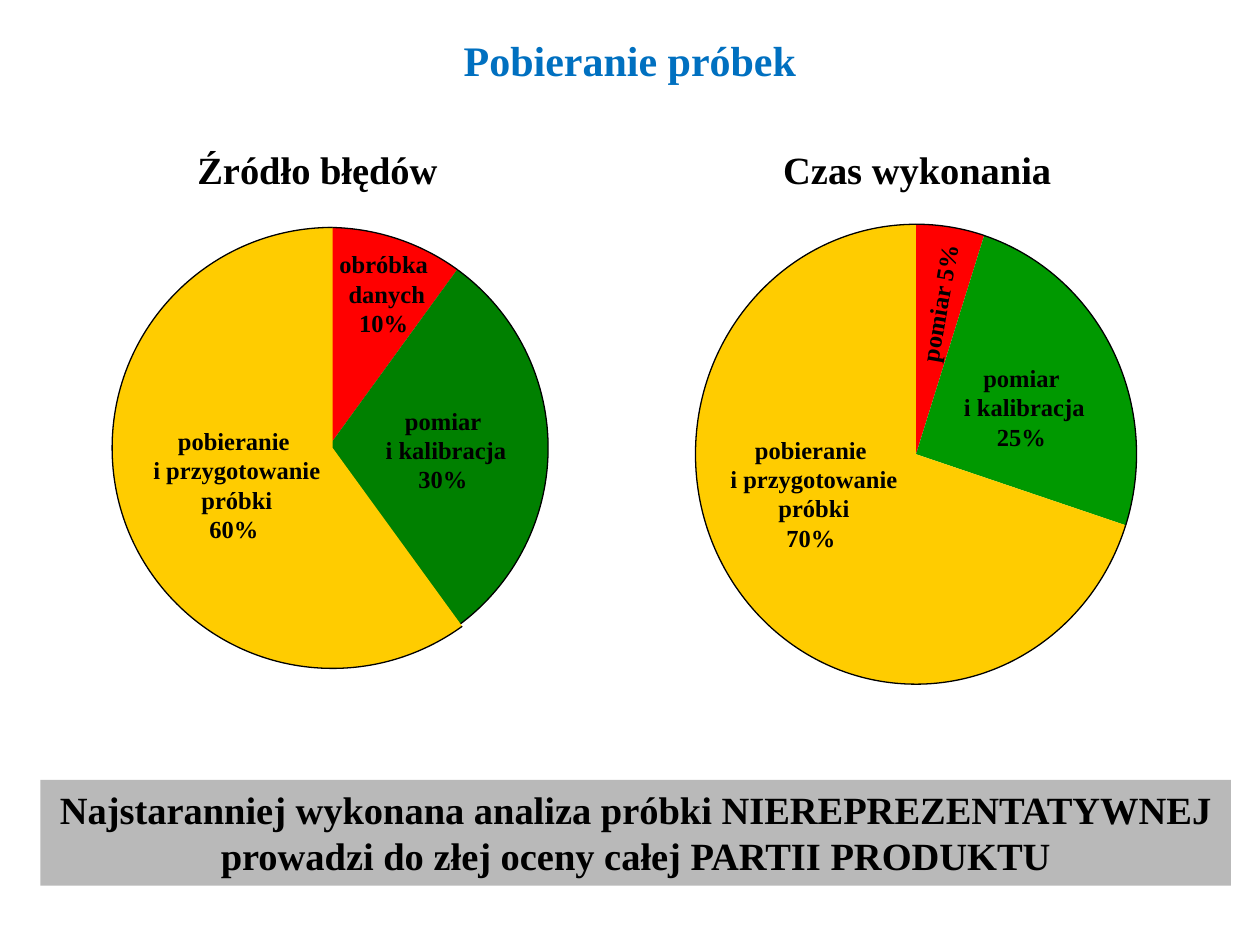
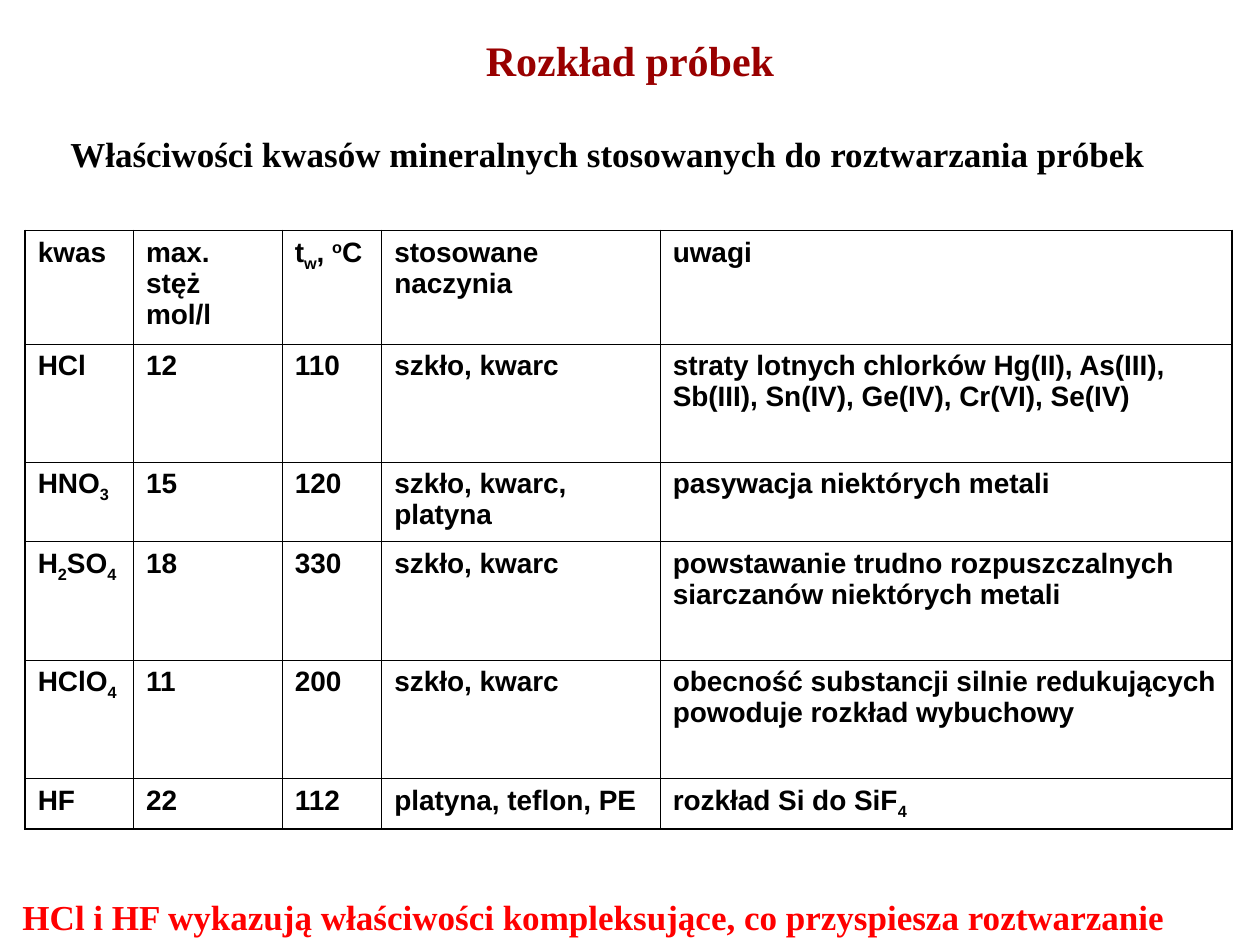
from collections import namedtuple
from copy import deepcopy
from math import cos, radians, sin, tan

from lxml.etree import SubElement
from pptx import Presentation
from pptx.dml.color import RGBColor
from pptx.enum.shapes import MSO_SHAPE
from pptx.enum.text import MSO_ANCHOR, PP_ALIGN
from pptx.oxml.ns import qn
from pptx.util import Inches, Pt

COLORS = {
    "black": "000000", "blue": "0070C0", "maroon": "990000", "red": "FF0000",
    "green": "008000", "light green": "009900", "yellow": "FFCC00", "gray": "7F7F7F",
}
SERIF, SANS = "Times New Roman", "Arial"
TITLE_ONLY = 5

# Grid of 100 columns and 75 rows; boxes are given in these units
WIDTH, HEIGHT = Inches(10), Inches(7.5)
COL, ROW = WIDTH / 100, HEIGHT / 75
Box = namedtuple("Box", "left top width height")
Slice = namedtuple("Slice", "percent color shift label label_at label_height turn")

TITLE_BOX = Box(7.5, 1, 85, 7.4)
LABEL_WIDTH = 19.2
BASELINES = {"_": "-25000", "^": "30000"}


def rgb(name):
    return RGBColor.from_string(COLORS[name])


def emu(box):
    return [int(n * unit) for n, unit in zip(box, (COL, ROW, COL, ROW))]


def style_font(font, size, color="black", name=SERIF):
    font.name, font.size, font.bold = name, Pt(size), True
    font.color.rgb = rgb(color)


def write(shape, text, size, color="black", align=PP_ALIGN.CENTER):
    """Set bold serif text in a shape; \\v makes a line break."""
    tf = shape.text_frame
    tf.word_wrap = True
    p = tf.paragraphs[0]
    p.text, p.alignment = text, align
    for r in p.runs:
        style_font(r.font, size, color)
    return tf


def add_text(s, box, text, size, color="black", align=PP_ALIGN.CENTER):
    shape = s.shapes.add_textbox(*emu(box))
    write(shape, text, size, color, align)
    return shape


def add_titled_slide(prs, title, color):
    s = prs.slides.add_slide(prs.slide_layouts[TITLE_ONLY])
    sp = s.shapes.title
    sp.left, sp.top, sp.width, sp.height = emu(TITLE_BOX)
    write(sp, title, 24, color).vertical_anchor = MSO_ANCHOR.MIDDLE
    return s


def add_wedge(s, box, start, end, color):
    """Draw one pie slice, outlined along its arc only."""
    left, top, width, height = emu(box)
    rx, ry = width / 2, height / 2
    cx, cy = left + rx, top + ry

    def arc_point(angle, pull=0):
        """Point on the ellipse, moved along its tangent by pull."""
        return (int(cx + rx * (sin(angle) + pull * cos(angle))),
                int(cy - ry * (cos(angle) - pull * sin(angle))))

    quarters = [q for q in (90, 180, 270) if start < q < end]
    angles = [radians(a) for a in (start, *quarters, end)]
    points = [arc_point(a) for a in angles]
    builder = s.shapes.build_freeform(*points[0])
    builder.add_line_segments(points[1:] + [(int(cx), int(cy))], close=True)
    sp = builder.convert_to_shape()
    sp.shadow.inherit = False
    sp.fill.solid()
    sp.fill.fore_color.rgb = rgb(color)
    sp.line.color.rgb = rgb("black")
    sp.line.width = Pt(0.75)

    # Bend the outer sides into curves
    wedge = sp._element.spPr.find(".//" + qn("a:path"))
    for side, a, b in zip(wedge[1:-2], angles, angles[1:]):
        pull = 4 / 3 * tan((b - a) / 4)
        curve = SubElement(wedge, qn("a:cubicBezTo"))
        for x, y in (arc_point(a, pull), arc_point(b, -pull), arc_point(b)):
            SubElement(curve, qn("a:pt"), x=str(x - sp.left), y=str(y - sp.top))
        wedge.replace(side, curve)

    # Split into a stroked arc and an unstroked filled wedge
    outline = deepcopy(wedge)
    for step in outline[-2:]:
        outline.remove(step)
    outline.set("fill", "none")
    wedge.set("stroke", "0")
    wedge.addprevious(outline)


def add_pie(s, box, slices):
    start = 0
    for part in slices:
        end = start + part.percent * 3.6
        add_wedge(s, box._replace(left=box.left + part.shift), start, end, part.color)
        start = end
    for part in slices:
        dx, dy = part.label_at
        label_box = Box(box.left + dx, box.top + dy, LABEL_WIDTH, part.label_height)
        label = add_text(s, label_box, part.label, 14)
        label.rotation = part.turn


def add_band(s, box, text):
    sp = s.shapes.add_shape(MSO_SHAPE.RECTANGLE, *emu(box))
    sp.shadow.inherit = False
    sp.fill.solid()
    sp.fill.fore_color.rgb = rgb("gray")
    fill_color = sp._element.spPr.find(qn("a:solidFill"))[0]
    SubElement(fill_color, qn("a:alpha")).set("val", "54000")
    sp.line.fill.background()
    write(sp, text, 22).vertical_anchor = MSO_ANCHOR.TOP


def write_formula(p, text):
    """Write runs where _ lowers and ^ raises the next character."""
    for piece in text.replace("_", "|_").replace("^", "|^").split("|"):
        baseline = BASELINES.get(piece[:1])
        parts = [(piece[1], baseline), (piece[2:], None)] if baseline else [(piece, None)]
        for chars, shift in parts:
            if chars:
                r = p.add_run()
                r.text = chars
                style_font(r.font, 16, name=SANS)
                if shift:
                    r._r.get_or_add_rPr().set("baseline", shift)


def set_borders(cell, widths):
    tc_pr = cell._tc.get_or_add_tcPr()
    for side, width in widths.items():
        line = SubElement(tc_pr, qn("a:" + side), w=str(Pt(width)))
        SubElement(SubElement(line, qn("a:solidFill")), qn("a:srgbClr"), val=COLORS["black"])


def add_grid_table(s, box, rows, col_widths, row_heights):
    last_row, last_col = len(rows) - 1, len(rows[0]) - 1
    table = s.shapes.add_table(last_row + 1, last_col + 1, *emu(box)).table
    table.first_row = table.horz_banding = False
    for column, width in zip(table.columns, col_widths):
        column.width = int(width * COL)
    for row, height in zip(table.rows, row_heights):
        row.height = int(height * ROW)
    for i, texts in enumerate(rows):
        for j, text in enumerate(texts):
            cell = table.cell(i, j)
            write_formula(cell.text_frame.paragraphs[0], text)
            outer = {"lnL": j == 0, "lnR": j == last_col, "lnT": i == 0, "lnB": i == last_row}
            set_borders(cell, {side: 1.08 if edge else 0.45 for side, edge in outer.items()})
            cell.fill.background()


def sampling_slide(prs):
    s = add_titled_slide(prs, "Pobieranie próbek", "blue")
    add_band(s, Box(3.2, 61.9, 94.5, 8.4),
             "Najstaranniej wykonana analiza próbki NIEREPREZENTATYWNEJ "
             "prowadzi do złej oceny całej PARTII PRODUKTU")

    # Chart headings
    for left, heading in ((10.2, "Źródło błędów"), (57.8, "Czas wykonania")):
        add_text(s, Box(left, 11.1, 30, 4.7), heading, 22)

    # Sources of error
    add_pie(s, Box(8.5, 18.05, 35, 35), [
        Slice(10, "red", 0, "obróbka \vdanych\v10% ", (12.6, 1.25), 8, 0),
        Slice(30, "green", 0, "pomiar \vi kalibracja\v30% ", (17.3, 13.65), 8, 0),
        Slice(60, "yellow", 0.4, "pobieranie \vi przygotowanie\vpróbki\v60% ",
              (0.7, 15.25), 10.4, 0),
    ])
    # Time taken
    add_pie(s, Box(55.2, 17.8, 35, 36.5), [
        Slice(5, "red", 0, "pomiar 5% ", (9.8, 4.3), 3.4, 279.9),
        Slice(25, "light green", 0, "pomiar \vi kalibracja\v25% ", (16.5, 10.5), 8, 0),
        Slice(70, "yellow", 0, "pobieranie \vi przygotowanie\vpróbki\v70% ",
              (-0.2, 16.2), 10.4, 0),
    ])


def decomposition_slide(prs):
    s = add_titled_slide(prs, "Rozkład próbek", "maroon")
    rows = [
        ["kwas", "max. stęż mol/l", "t_w, ^oC", "stosowane naczynia", "uwagi"],
        ["HCl", "12", "110", "szkło, kwarc",
         "straty lotnych chlorków Hg(II), As(III), Sb(III), Sn(IV), Ge(IV), Cr(VI), Se(IV)"],
        ["HNO_3", "15", "120", "szkło, kwarc, platyna", "pasywacja niektórych metali"],
        ["H_2SO_4", "18", "330", "szkło, kwarc",
         "powstawanie trudno rozpuszczalnych siarczanów niektórych metali"],
        ["HClO_4", "11", "200", "szkło, kwarc",
         "obecność substancji silnie redukujących powoduje rozkład wybuchowy"],
        ["HF", "22", "112", "platyna, teflon, PE", "rozkład Si do SiF_4"],
    ]
    add_grid_table(s, Box(2, 18.3, 95.8, 47.8), rows,
                   col_widths=(8.6, 11.8, 7.9, 22.1, 45.4),
                   row_heights=(9, 9.4, 6.3, 9.4, 9.4, 4))

    # Statements above and below the table
    add_text(s, Box(4.6, 10, 93.7, 4.2),
             "Właściwości kwasów mineralnych stosowanych do roztwarzania próbek",
             20, align=PP_ALIGN.LEFT)
    add_text(s, Box(0.8, 70.6, 97.5, 4.2),
             "HCl i HF wykazują właściwości kompleksujące, co przyspiesza roztwarzanie",
             20, "red", PP_ALIGN.LEFT)


def main():
    prs = Presentation()
    prs.slide_width, prs.slide_height = WIDTH, HEIGHT
    sampling_slide(prs)
    decomposition_slide(prs)
    prs.save("out.pptx")


if __name__ == "__main__":
    main()
